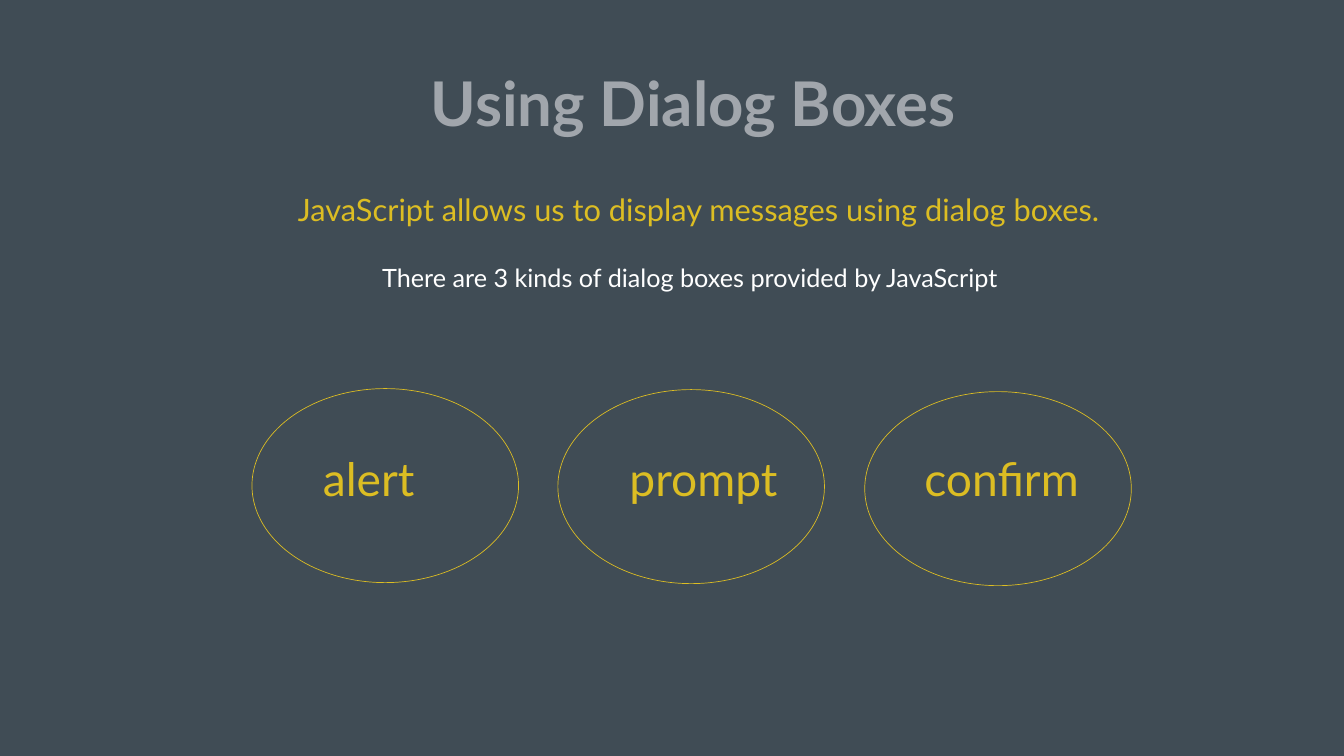
import pptx
import pptx.util
import pptx.dml.color
import pptx.enum.shapes
import pptx.enum.text

Inches = pptx.util.Inches
ANCHOR = pptx.enum.text.MSO_ANCHOR
SLATE, GREY, GOLD, WHITE = "404C55", "A1A6AC", "DCBD23", "FFFFFF"


def rgb(value):
    """Turn a hex string into a colour."""
    return pptx.dml.color.RGBColor.from_string(value)


def add_text(slide, box, text, size, color, bold=False, inset=0.08, anchor=ANCHOR.MIDDLE):
    """Place one centred line of text in a box."""
    frame = slide.shapes.add_textbox(*map(Inches, box)).text_frame
    frame.word_wrap = True
    frame.vertical_anchor = anchor
    frame.margin_left = frame.margin_right = Inches(inset)
    frame.margin_top = frame.margin_bottom = Inches(inset)
    paragraph = frame.paragraphs[0]
    paragraph.alignment = pptx.enum.text.PP_ALIGN.CENTER
    run = paragraph.add_run()
    run.text = text
    run.font.name = "Lato"
    run.font.size = pptx.util.Pt(size)
    run.font.bold = bold
    run.font.color.rgb = rgb(color)


def add_heading(slide, left, top):
    """Place the title and the two introductory lines."""
    add_text(slide, (left, top, 24.43, 1.64), "Using Dialog Boxes", 88, GREY, bold=True)
    add_text(slide, (left + 2.53, top + 2.59, 19.6, 1.48),
             "JavaScript allows us to display messages using dialog boxes.",
             44, GOLD, inset=0, anchor=ANCHOR.TOP)
    add_text(slide, (left + 2.16, top + 3.92, 19.98, 0.76),
             "There are 3 kinds of dialog boxes provided by JavaScript", 36, WHITE)


def add_dialog_kind(slide, left, top, name, label_left, label_top, label_width):
    """Place an outlined ellipse with the name of a dialog box."""
    ellipse = slide.shapes.add_shape(pptx.enum.shapes.MSO_SHAPE.OVAL,
                                     *map(Inches, (left, top, 5.29, 3.85)))
    ellipse.shadow.inherit = False
    ellipse.fill.background()
    ellipse.line.color.rgb = rgb(GOLD)
    ellipse.line.width = pptx.util.Pt(1)
    add_text(slide, (left + label_left, top + label_top, label_width, 1.27), name, 66, GOLD)


def main():
    """Build and save the slide."""
    deck = pptx.Presentation()
    deck.slide_width, deck.slide_height = Inches(26.67), Inches(15)
    slide = deck.slides.add_slide(deck.slide_layouts[6])
    slide.background.fill.solid()
    slide.background.fill.fore_color.rgb = rgb(SLATE)
    add_heading(slide, 1.54, 1.2)
    dialog_kinds = [
        (5, 7.71, "alert", 0.73, 1.14, 3.17),
        (11.07, 7.73, "prompt", 0.66, 1.12, 4.46),
        (17.16, 7.77, "confirm", 0.67, 1.08, 4.09),
    ]
    for kind in dialog_kinds:
        add_dialog_kind(slide, *kind)
    deck.save("out.pptx")


if __name__ == "__main__":
    main()
